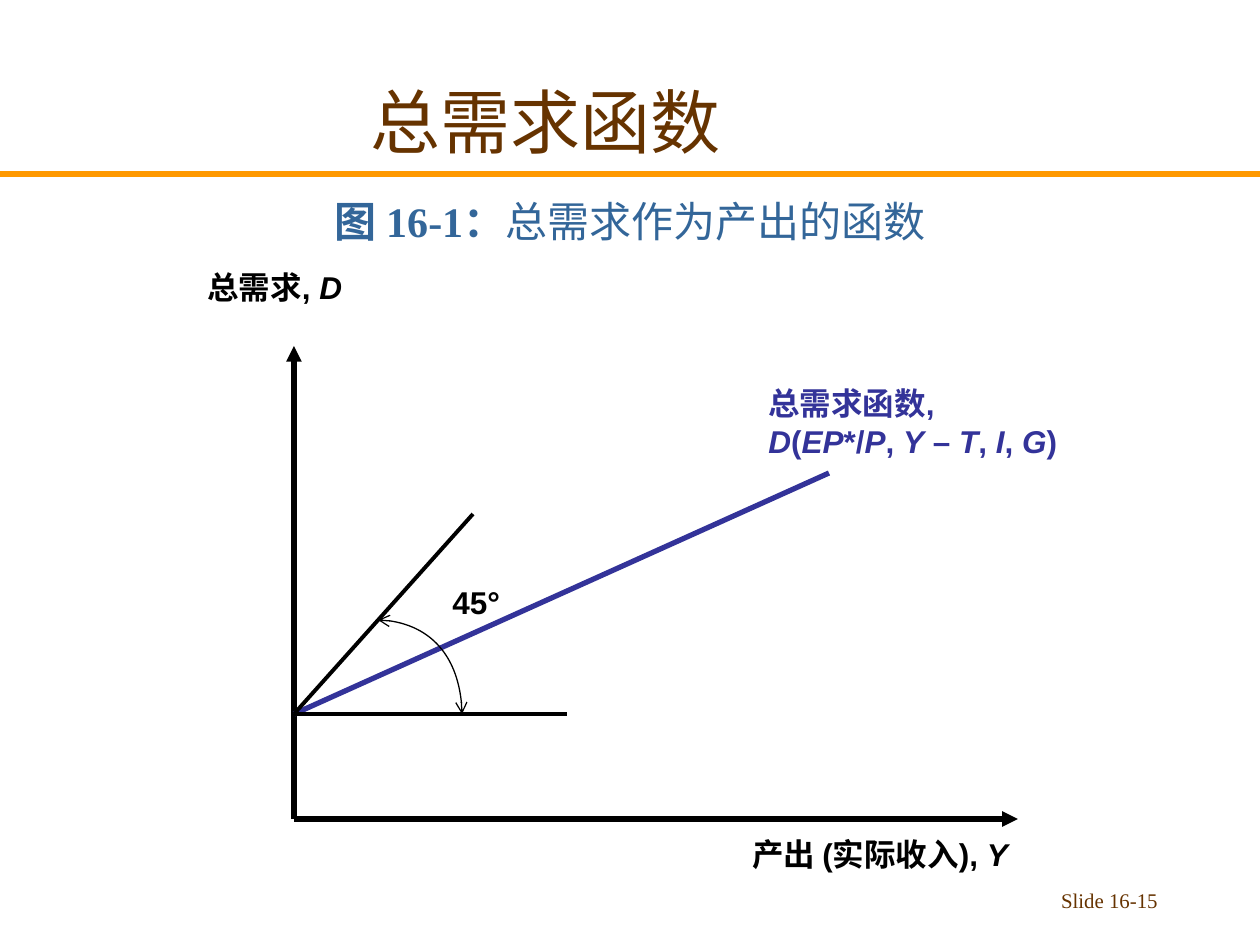
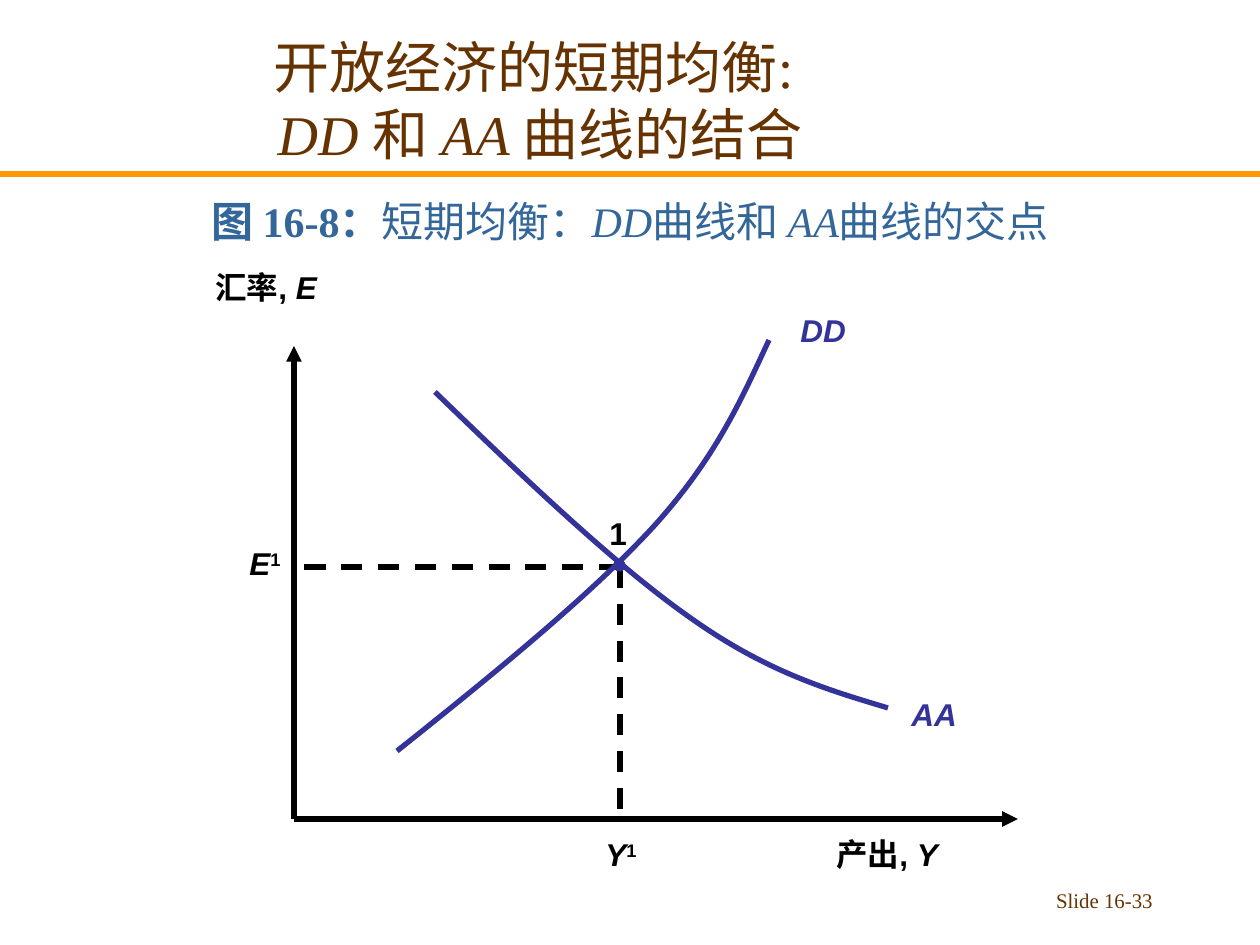
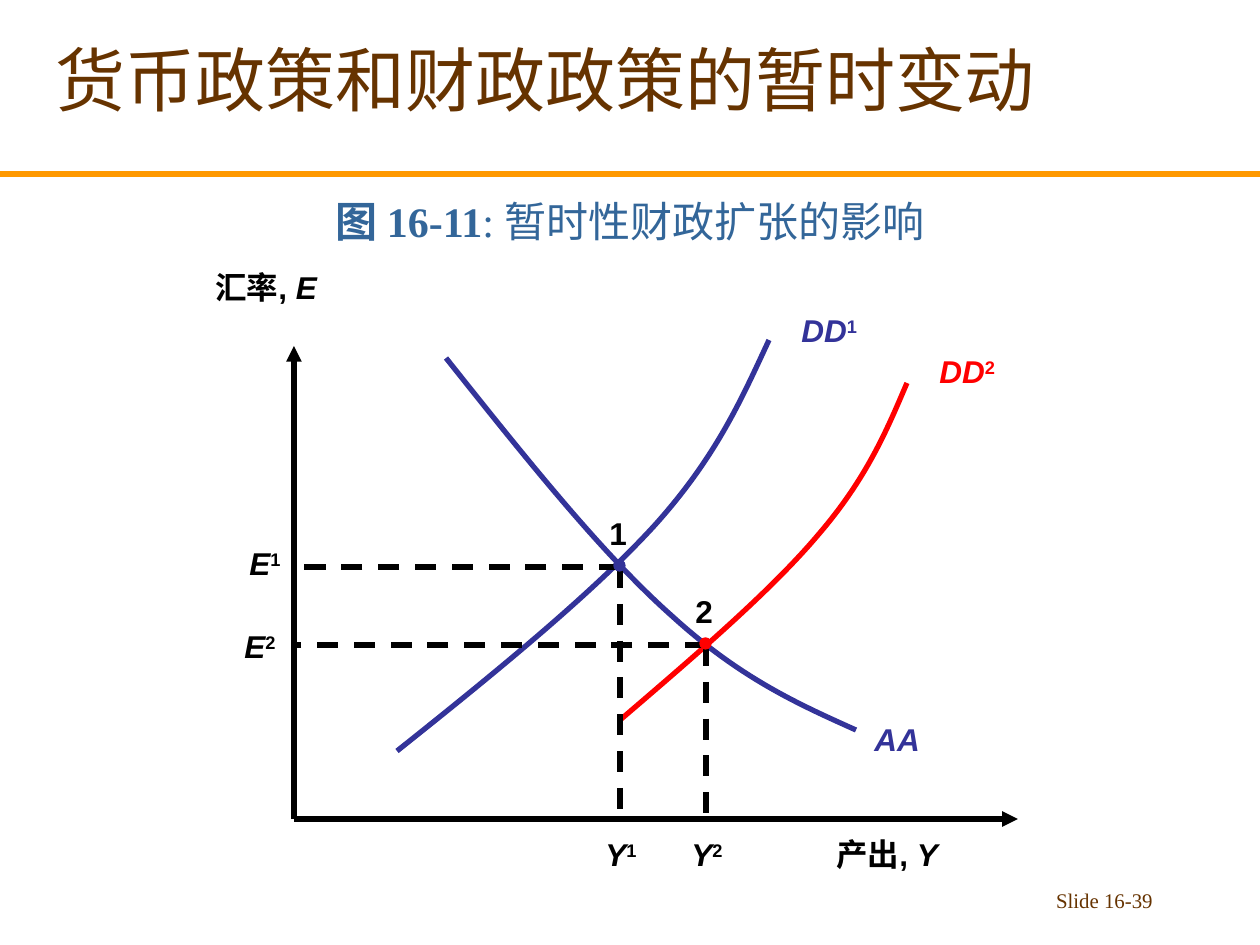
from lxml.etree import SubElement
from pptx import Presentation
from pptx.dml.color import RGBColor
from pptx.enum.dml import MSO_LINE
from pptx.enum.shapes import MSO_CONNECTOR, MSO_SHAPE
from pptx.enum.text import MSO_ANCHOR, PP_ALIGN
from pptx.oxml.ns import qn
from pptx.util import Emu, Inches, Pt

PX = Inches(1) / 126
WIDTH, HEIGHT = 1260, 945
ORIGIN_X, ORIGIN_Y = 294, 819
SERIF, SANS = "Times New Roman", "Arial"
BROWN, ORANGE, STEEL = "663300", "FF9900", "336699"
BLACK, INDIGO, RED = "000000", "333399", "FF0000"
DD_CURVE = [(397, 751), (495, 673), (593, 593), (655, 525), (717, 456), (742, 398), (769, 340)]


def emu(*lengths):
    return [Emu(round(length * PX)) for length in lengths]


def color(code):
    return RGBColor.from_string(code)


def add_text(page, area, lines, size, code, font=SERIF, bold=None,
             align=PP_ALIGN.CENTER, anchor=MSO_ANCHOR.MIDDLE, wrap=True):
    frame = page.shapes.add_textbox(*emu(*area)).text_frame
    frame.word_wrap = wrap
    frame.vertical_anchor = anchor
    for index, spans in enumerate(lines):
        paragraph = frame.paragraphs[0] if index == 0 else frame.add_paragraph()
        paragraph.alignment = align
        paragraph.font.name = font
        paragraph.font.size = Pt(size)
        paragraph.font.color.rgb = color(code)
        paragraph.font.bold = bold
        for text, style in spans:
            span = paragraph.add_run()
            span.text = text
            if "b" in style:
                span.font.bold = True
            if "i" in style:
                span.font.italic = True
            if "s" in style:
                span.font._element.set("baseline", "30000")


def add_label(page, left, top, width, *lines, code=BLACK):
    area = (left, top, width, 12 + 38 * len(lines))
    add_text(page, area, lines, 18, code, SANS, True,
             PP_ALIGN.LEFT, MSO_ANCHOR.TOP, False)


def add_line(page, start, end, code=BLACK, weight=3, dashed=False, arrow=False):
    line = page.shapes.add_connector(MSO_CONNECTOR.STRAIGHT, *emu(*start, *end))
    line.line.color.rgb = color(code)
    line.line.width = Pt(weight)
    if dashed:
        line.line.dash_style = MSO_LINE.DASH
    if arrow:
        add_arrowheads(line, "triangle", "tailEnd")
    SubElement(line._element.spPr, qn("a:effectLst"))


def add_arrowheads(shape, kind, *ends):
    for end in ends:
        SubElement(shape.line._get_or_add_ln(), qn("a:" + end), type=kind)


def add_curve(page, points, code=INDIGO, weight=3):
    builder = page.shapes.build_freeform(*points[0], scale=PX)
    builder.add_line_segments(points[1:], close=False)
    curve = builder.convert_to_shape()
    curve.shadow.inherit = False
    curve.fill.background()
    curve.line.color.rgb = color(code)
    curve.line.width = Pt(weight)
    segments = list(curve._element.iter(qn("a:lnTo")))
    outline = segments[0].getparent()
    for first in range(0, len(segments), 3):
        bezier = SubElement(outline, qn("a:cubicBezTo"))
        for segment in segments[first:first + 3]:
            bezier.append(segment[0])
            outline.remove(segment)
    return curve


def add_axes(page):
    origin = (ORIGIN_X, ORIGIN_Y)
    add_line(page, origin, (ORIGIN_X, 346), arrow=True)
    add_line(page, origin, (1018, ORIGIN_Y), arrow=True)


def add_exchange_axes(page):
    add_axes(page)
    add_label(page, 203, 262, 135, [("汇率, ", ""), ("E", "i")])
    add_label(page, 824, 829, 135, [("产出, ", ""), ("Y", "i")])


def add_equilibrium(page, x, y, number, rate_label, code=INDIGO):
    add_line(page, (x, y), (ORIGIN_X, y), dashed=True)
    add_line(page, (x, y), (x, ORIGIN_Y), dashed=True)
    dot = page.shapes.add_shape(MSO_SHAPE.OVAL, *emu(x - 6, y - 7, 11, 11))
    dot.shadow.inherit = False
    dot.fill.solid()
    dot.fill.fore_color.rgb = color(code)
    dot.line.color.rgb = color(code)
    dot.line.width = Pt(0.75)
    add_label(page, x - 23, y - 59, 43, [(number, "")])
    add_label(page, x - 27, 829, 57, [("Y", "i"), (number, "s")])
    add_label(page, *rate_label, 57, [("E", "i"), (number, "s")])


def add_page(deck, title, title_area, size, caption, number, footer_left=903):
    page = deck.slides.add_slide(deck.slide_layouts[6])
    add_line(page, (0, 174), (WIDTH, 174), ORANGE)
    add_text(page, title_area, title, size, BROWN)
    add_text(page, (0, 179, WIDTH, 73), [caption], 24, STEEL, anchor=MSO_ANCHOR.BOTTOM)
    add_text(page, (footer_left, 881, 262, 42), [[(f"Slide {number}", "")]], 11.9, BROWN,
             align=PP_ALIGN.RIGHT, anchor=MSO_ANCHOR.TOP)
    return page


def build_demand(deck):
    caption = [("图 16-1：", "b"), ("总需求作为产出的函数", "")]
    page = add_page(deck, [[("总需求函数", "")]], (10, 42, 1071, 157), 40,
                    caption, "16-15", 908)
    add_axes(page)
    add_label(page, 195, 262, 168, [("总需求, ", ""), ("D", "i")])
    add_label(page, 740, 829, 304, [("产出 (实际收入), ", ""), ("Y", "i")])
    corner = (ORIGIN_X, 714)
    add_line(page, corner, (829, 473), INDIGO)
    formula = [("D", "i"), ("(", ""), ("EP", "i"), ("*/", ""), ("P", "i"), (", ", ""),
               ("Y", "i"), (" – ", ""), ("T", "i"), (", ", ""), ("I", "i"), (", ", ""),
               ("G", "i"), (")", "")]
    add_label(page, 756, 378, 314, [("总需求函数,", "")], formula, code=INDIGO)
    for end in [(567, 714), (473, 514)]:
        add_line(page, corner, end, weight=2.25)
    arc = add_curve(page, [(378, 620), (425, 620), (462, 661), (462, 714)], BLACK, 0.75)
    add_arrowheads(arc, "arrow", "headEnd", "tailEnd")
    add_label(page, 440, 577, 73, [("45°", "")])


def build_equilibrium(deck):
    title = [[("开放经济的短期均衡: ", "")],
             [("DD ", "i"), ("和 ", ""), ("AA ", "i"), ("曲线的结合", "")]]
    caption = [("图 16-8：", "b"), ("短期均衡：", ""), ("DD", "i"), ("曲线和 ", ""),
               ("AA", "i"), ("曲线的交点", "")]
    page = add_page(deck, title, (0, 21, 1081, 157), 32, caption, "16-33")
    add_exchange_axes(page)
    add_curve(page, [(435, 392), (525, 479), (616, 566), (692, 619),
                     (767, 672), (828, 690), (888, 708)])
    add_label(page, 899, 689, 71, [("AA", "i")], code=INDIGO)
    add_equilibrium(page, 620, 567, "1", (237, 538))
    add_curve(page, DD_CURVE)
    add_label(page, 788, 305, 71, [("DD", "i")], code=INDIGO)


def build_expansion(deck):
    caption = [("图 16-11", "b"), (": 暂时性财政扩张的影响", "")]
    page = add_page(deck, [[("货币政策和财政政策的暂时变动", "")]], (10, 0, 1071, 157), 40,
                    caption, "16-39")
    add_exchange_axes(page)
    add_curve(page, DD_CURVE)
    add_label(page, 789, 305, 81, [("DD", "i"), ("1", "s")], code=INDIGO)
    add_curve(page, [(446, 358), (524, 456), (602, 554), (672, 616),
                     (740, 678), (798, 704), (856, 730)])
    add_label(page, 862, 714, 71, [("AA", "i")], code=INDIGO)
    add_curve(page, [(619, 721), (696, 655), (771, 591), (819, 534),
                     (867, 478), (887, 430), (907, 383)], RED)
    add_label(page, 927, 346, 81, [("DD", "i"), ("2", "s")], code=RED)
    add_equilibrium(page, 620, 567, "1", (237, 538))
    add_equilibrium(page, 706, 645, "2", (232, 621), RED)


def main():
    deck = Presentation()
    deck.slide_width, deck.slide_height = emu(WIDTH, HEIGHT)
    build_demand(deck)
    build_equilibrium(deck)
    build_expansion(deck)
    deck.save("out.pptx")


if __name__ == "__main__":
    main()
